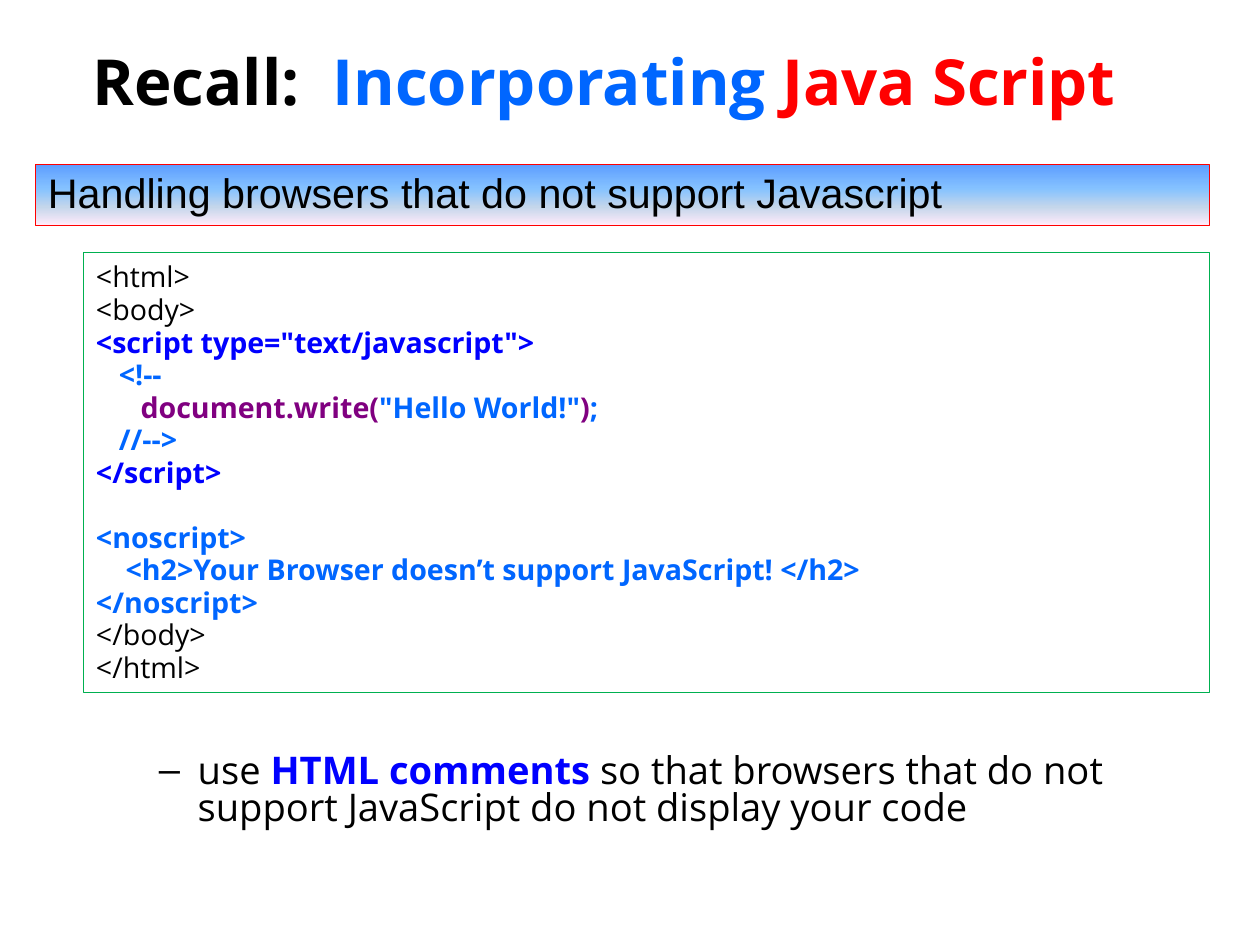
"""Build the slide on handling browsers without JavaScript support."""
import pptx
import pptx.dml.color
import pptx.enum.shapes
import pptx.enum.text
import pptx.oxml
import pptx.oxml.ns
import pptx.util
from pptx.util import Inches

RGBColor = pptx.dml.color.RGBColor
BLACK = RGBColor(0x00, 0x00, 0x00)
AZURE = RGBColor(0x00, 0x66, 0xFF)
BLUE = RGBColor(0x00, 0x00, 0xFF)
RED = RGBColor(0xFF, 0x00, 0x00)
PURPLE = RGBColor(0x80, 0x00, 0x80)
GREEN = RGBColor(0x00, 0xB0, 0x50)
BANNER_STOPS = [(0, "5E9EFF"), (40, "85C2FF"), (70, "C4D6EB"), (100, "FFEBFA")]
CM_PER_INCH = 2.54

Align = pptx.enum.text.PP_ALIGN
Anchor = pptx.enum.text.MSO_ANCHOR
RECTANGLE = pptx.enum.shapes.MSO_SHAPE.RECTANGLE


def write_line(paragraph, runs, size, font="Open Sans", spacing=0.95,
               align=Align.LEFT, indent=0, hanging=0, before=0):
    """Fill a paragraph with (text, colour, bold) runs."""
    paragraph.alignment = align
    paragraph.line_spacing = spacing
    paragraph.space_before = pptx.util.Pt(before)
    properties = paragraph._p.get_or_add_pPr()
    properties.set("marL", str(Inches(indent)))
    properties.set("indent", str(Inches(-hanging)))
    for text, colour, bold in runs:
        run = paragraph.add_run()
        run.text = text
        run.font.name = font
        run.font.size = pptx.util.Pt(size)
        run.font.bold = bold
        run.font.color.rgb = colour


def prepare_frame(shape, anchor=Anchor.MIDDLE):
    """Set wrapping, anchor and insets, and return the text frame."""
    frame = shape.text_frame
    frame.word_wrap = True
    frame.vertical_anchor = anchor
    frame.margin_left = frame.margin_right = Inches(0.11)
    frame.margin_top = frame.margin_bottom = Inches(0.06)
    return frame


presentation = pptx.Presentation()
presentation.slide_width = Inches(28 / CM_PER_INCH)
presentation.slide_height = Inches(21 / CM_PER_INCH)
slide = presentation.slides.add_slide(presentation.slide_layouts[6])
shapes = slide.shapes

title = shapes.add_textbox(Inches(0.6), Inches(0.25), Inches(9.37), Inches(0.96))
write_line(prepare_frame(title).paragraphs[0],
           [("Recall:  ", BLACK, True), ("Incorporating ", AZURE, True),
            ("Java Script", RED, True)],
           size=40, align=Align.CENTER)

listing = shapes.add_shape(RECTANGLE, Inches(0.73), Inches(2.21), Inches(9.85), Inches(3.85))
listing.fill.background()
banner = shapes.add_shape(RECTANGLE, Inches(0.31), Inches(1.44), Inches(10.27), Inches(0.53))
banner.fill.gradient()
banner.fill.gradient_angle = 270
stops = banner._element.spPr.find(".//" + pptx.oxml.ns.qn("a:gsLst"))
for stop in list(stops):
    stops.remove(stop)
for percent, colour in BANNER_STOPS:
    stops.append(pptx.oxml.parse_xml(
        f'<a:gs {pptx.oxml.ns.nsdecls("a")} pos="{percent * 1000}">'
        f'<a:srgbClr val="{colour}"/></a:gs>'))
for panel, outline in ((listing, GREEN), (banner, RED)):
    panel.shadow.inherit = False
    panel.line.color.rgb = outline
    panel.line.width = pptx.util.Pt(0.75)

CODE_PITCH = 20.5
code_lines = [
    (0, 0, [("<html>", BLACK, False)]),
    (0, 0, [("<body>", BLACK, False)]),
    (0, 0, [('<script type="text/javascript">', BLUE, True)]),
    (0.2, 0, [("<!--", AZURE, True)]),
    (0.39, 0, [("document.write(", PURPLE, True), ('"Hello World!"', AZURE, True),
               (")", PURPLE, True), (";", AZURE, True)]),
    (0.2, 0, [("//-->", AZURE, True)]),
    (0, 0, [("</script>", BLUE, True)]),
    (0, CODE_PITCH, [("<noscript>", AZURE, True)]),
    (0.26, 0, [("<h2>Your Browser doesn’t support JavaScript! </h2>", AZURE, True)]),
    (0, 0, [("</noscript>", AZURE, True)]),
    (0, 0, [("</body>", BLACK, False)]),
    (0, 0, [("</html>", BLACK, False)]),
]
code = prepare_frame(listing)
for number, (indent, before, runs) in enumerate(code_lines):
    paragraph = code.add_paragraph() if number else code.paragraphs[0]
    write_line(paragraph, runs, size=18, spacing=pptx.util.Pt(CODE_PITCH),
               indent=indent, before=before)

write_line(prepare_frame(banner).paragraphs[0],
           [("Handling browsers that do not support Javascript", BLACK, False)],
           size=26, font="Arial")

advice = shapes.add_textbox(Inches(0.73), Inches(6.55), Inches(9.85), Inches(0.76))
tip = prepare_frame(advice, Anchor.TOP).paragraphs[0]
write_line(tip,
           [("use ", BLACK, False), ("HTML comments ", BLUE, True),
            ("so that browsers that do not support JavaScript do not display your code",
             BLACK, False)],
           size=24, spacing=pptx.util.Pt(23.3), indent=0.89, hanging=0.34)
tip.level = 1
for bullet in ('<a:buClr {}><a:srgbClr val="000000"/></a:buClr>',
               '<a:buFont {} typeface="Arial"/>', '<a:buChar {} char="–"/>'):
    tip._p.pPr.append(pptx.oxml.parse_xml(bullet.format(pptx.oxml.ns.nsdecls("a"))))

presentation.save("out.pptx")
